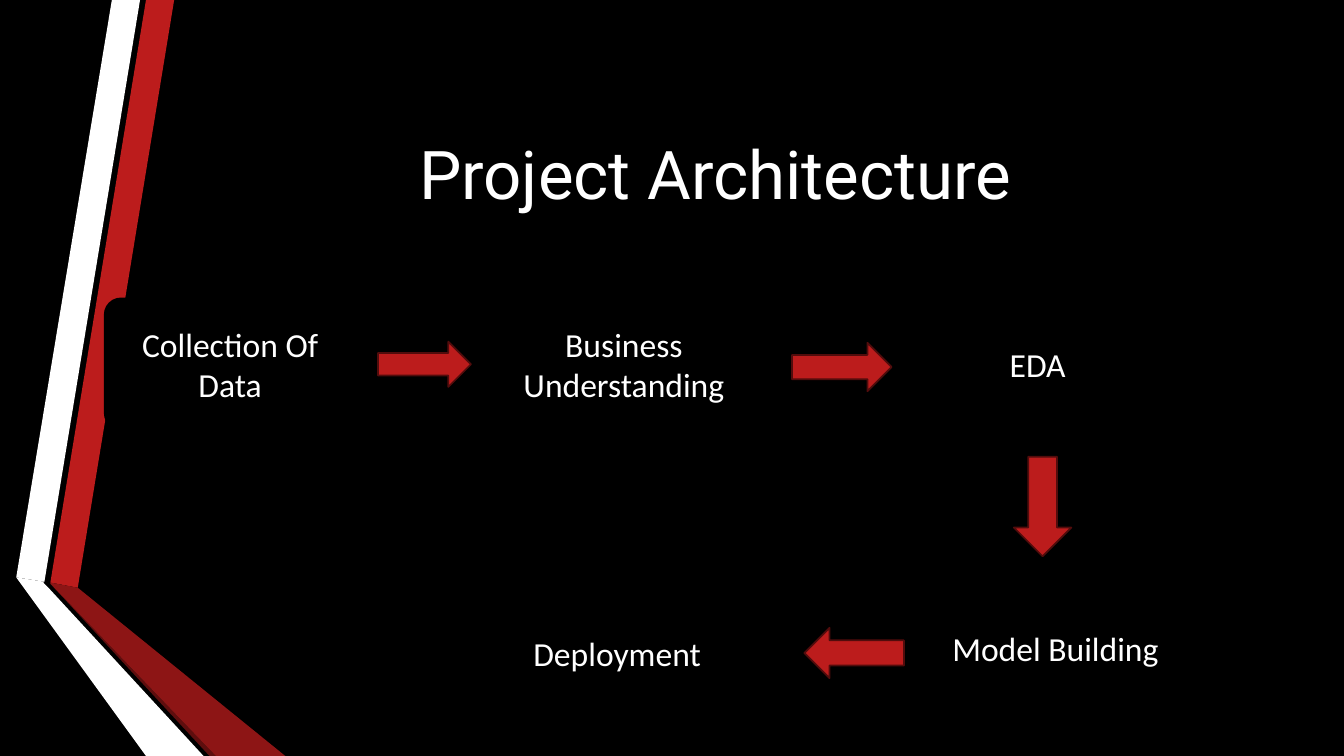
from pptx import Presentation
from pptx.dml.color import RGBColor
from pptx.enum.shapes import MSO_SHAPE
from pptx.enum.text import MSO_ANCHOR, MSO_AUTO_SIZE, PP_ALIGN
from pptx.util import Cm, Pt

BLACK = RGBColor(0x00, 0x00, 0x00)
WHITE = RGBColor(0xFF, 0xFF, 0xFF)
RED = RGBColor(0xBC, 0x1C, 0x1C)
DARK_RED = RGBColor(0x8D, 0x15, 0x15)
MAROON = RGBColor(0x5E, 0x0E, 0x0E)
ARROW_EDGE = RGBColor(0x52, 0x0C, 0x0C)

BOX_HEIGHT = 3.3

BANDS = [
    (RED, [(1.27, 14.68), (1.96, 14.81), (4.39, 0), (3.68, 0)]),
    (WHITE, [(3.53, 0), (2.82, 0), (0.41, 14.55), (1.12, 14.66)]),
    (MAROON, [(1.27, 14.71), (5.28, 19.05), (5.44, 19.05)]),
    (DARK_RED, [(1.27, 14.68), (1.27, 14.71), (5.44, 19.05), (7.19, 19.05),
                (1.96, 14.81)]),
    (WHITE, [(0.41, 14.55), (3.68, 19.05), (5.13, 19.05), (1.22, 14.81),
             (1.09, 14.68), (1.12, 14.66)]),
]

STEPS = [
    ("Collection Of Data", 2.64, 7.52, 6.32, 0.125),
    ("Business Understanding", 12.27, 7.52, 6.91, 0.17),
    ("EDA", 22.91, 7.52, 6.48, 0.17),
    ("Model Building", 23.55, 14.68, 6.1, 0.17),
    ("Deployment", 11.86, 14.81, 7.39, 0.17),
]

ARROWS = [
    (MSO_SHAPE.RIGHT_ARROW, 9.53, 8.61, 2.34, 1.14),
    (MSO_SHAPE.RIGHT_ARROW, 19.96, 8.64, 2.51, 1.22),
    (MSO_SHAPE.DOWN_ARROW, 25.55, 11.51, 1.45, 2.51),
    (MSO_SHAPE.LEFT_ARROW, 20.27, 15.82, 2.51, 1.27),
]


def paint(sp, fill, edge=None):
    sp.shadow.inherit = False
    sp.fill.solid()
    sp.fill.fore_color.rgb = fill
    if edge is None:
        sp.line.fill.background()
    else:
        sp.line.color.rgb = edge
        sp.line.width = Pt(1.25)


def write(sp, text, font, size):
    tf = sp.text_frame
    tf.text = text
    tf.word_wrap = True
    tf.auto_size = MSO_AUTO_SIZE.NONE
    tf.vertical_anchor = MSO_ANCHOR.MIDDLE
    p = tf.paragraphs[0]
    p.alignment = PP_ALIGN.CENTER
    r = p.runs[0]
    r.font.name = font
    r.font.size = Pt(size)
    r.font.color.rgb = WHITE


def add_title(s, text):
    sp = s.shapes.title
    sp.left, sp.top, sp.width, sp.height = Cm(4.11), Cm(1.9), Cm(27.84), Cm(4.88)
    write(sp, text, "Roboto", 48)


def add_band(s, color, points):
    corners = [(Cm(x), Cm(y)) for x, y in points]
    builder = s.shapes.build_freeform(*corners[0])
    builder.add_line_segments(corners[1:], close=True)
    paint(builder.convert_to_shape(), color)


def add_step(s, text, left, top, width, rounding):
    sp = s.shapes.add_shape(MSO_SHAPE.ROUNDED_RECTANGLE,
                            Cm(left), Cm(top), Cm(width), Cm(BOX_HEIGHT))
    sp.adjustments[0] = rounding
    paint(sp, BLACK, BLACK)
    write(sp, text, "Calibri", 24)


def add_arrow(s, kind, left, top, width, height):
    sp = s.shapes.add_shape(kind, Cm(left), Cm(top), Cm(width), Cm(height))
    paint(sp, RED, ARROW_EDGE)


def main():
    prs = Presentation()
    prs.slide_width, prs.slide_height = Cm(33.87), Cm(19.05)
    s = prs.slides.add_slide(prs.slide_layouts[5])
    s.background.fill.solid()
    s.background.fill.fore_color.rgb = BLACK
    add_title(s, "Project Architecture")
    for band in BANDS:
        add_band(s, *band)
    for step in STEPS:
        add_step(s, *step)
    for arrow in ARROWS:
        add_arrow(s, *arrow)
    prs.save("out.pptx")


if __name__ == "__main__":
    main()
